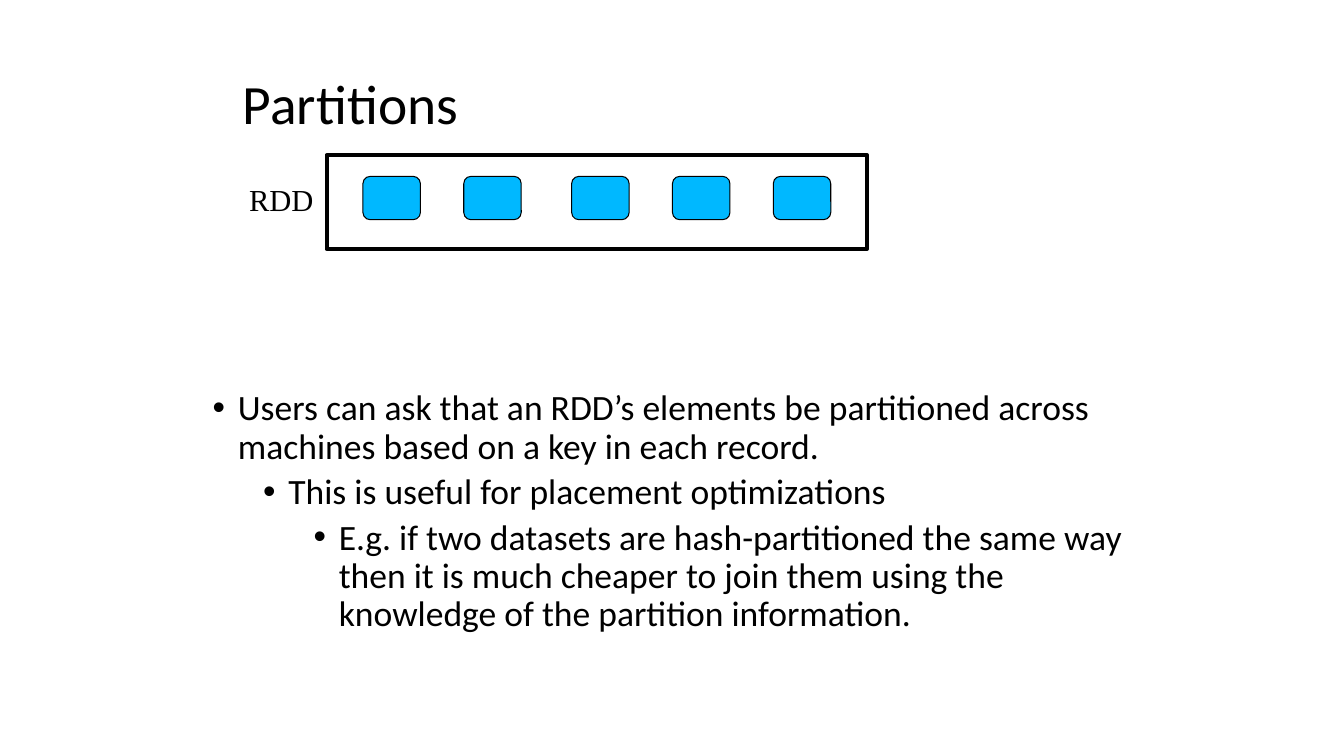
from lxml import etree
from pptx import Presentation
from pptx.dml.color import RGBColor
from pptx.enum.shapes import MSO_SHAPE
from pptx.enum.text import MSO_ANCHOR, MSO_AUTO_SIZE, PP_ALIGN
from pptx.oxml.ns import qn
from pptx.util import Inches, Pt

RECTANGLE = MSO_SHAPE.RECTANGLE
ROUNDED_RECTANGLE = MSO_SHAPE.ROUNDED_RECTANGLE
MIDDLE = MSO_ANCHOR.MIDDLE
TOP = MSO_ANCHOR.TOP
LEFT = PP_ALIGN.LEFT
NO_AUTOFIT = MSO_AUTO_SIZE.NONE

COLORS = {"text": "000000", "line": "000000", "partition": "00B8FF", "background": "FFFFFF"}


def place(shape, left, top, width, height):
    shape.left, shape.top = Inches(left), Inches(top)
    shape.width, shape.height = Inches(width), Inches(height)


def format_runs(paragraph, font_name, size):
    for run in paragraph.runs:
        run.font.name = font_name
        run.font.size = Pt(size)
        run.font.color.rgb = RGBColor.from_string(COLORS["text"])


presentation = Presentation()
presentation.slide_width = Inches(13.33)
presentation.slide_height = Inches(7.5)
slide = presentation.slides.add_slide(presentation.slide_layouts[1])
slide.background.fill.solid()
slide.background.fill.fore_color.rgb = RGBColor.from_string(COLORS["background"])

title = slide.shapes.title
place(title, 2.31, 0.68, 8.9, 0.76)
title.text_frame.text = "Partitions"
title.text_frame.auto_size = NO_AUTOFIT
title.text_frame.vertical_anchor = MIDDLE
title_paragraph = title.text_frame.paragraphs[0]
title_paragraph.alignment = LEFT
title_paragraph.line_spacing = 0.9
format_runs(title_paragraph, "Calibri", 39.6)

body = slide.placeholders[1]
place(body, 2.01, 3.82, 9.45, 3.69)
points = [
    "Users can ask that an RDD’s elements be partitioned across machines based on a key in each record.",
    "This is useful for placement optimizations",
    "E.g. if two datasets are hash-partitioned the same way then it is much cheaper to join them "
    "using the knowledge of the partition information.",
]
body.text_frame.text = "\n".join(points)
body.text_frame.auto_size = NO_AUTOFIT
body.text_frame.vertical_anchor = TOP
for level, paragraph in enumerate(body.text_frame.paragraphs):
    paragraph.level = level
    properties = paragraph._p.get_or_add_pPr()
    properties.set("marL", str(Inches(0.25 + 0.5 * level)))
    properties.set("indent", str(Inches(-0.25)))
    etree.SubElement(properties, qn("a:buFont"), typeface="Arial")
    etree.SubElement(properties, qn("a:buChar"), char="•")
    paragraph.line_spacing = 0.9
    paragraph.space_before = Pt(5 if level else 0)
    format_runs(paragraph, "Calibri", 25.4)

dataset_frame = slide.shapes.add_shape(
    RECTANGLE, Inches(3.24), Inches(1.54), Inches(5.36), Inches(0.93)
)
dataset_frame.shadow.inherit = False
dataset_frame.fill.background()
dataset_frame.line.color.rgb = RGBColor.from_string(COLORS["line"])
dataset_frame.line.width = Pt(3)

for left in (3.6, 4.6, 5.67, 6.67, 7.67):
    partition = slide.shapes.add_shape(
        ROUNDED_RECTANGLE, Inches(left), Inches(1.75), Inches(0.57), Inches(0.43)
    )
    partition.shadow.inherit = False
    partition.fill.solid()
    partition.fill.fore_color.rgb = RGBColor.from_string(COLORS["partition"])
    partition.line.color.rgb = RGBColor.from_string(COLORS["line"])
    partition.line.width = Pt(0.75)

dataset_label = slide.shapes.add_textbox(Inches(2.38), Inches(1.75), Inches(0.83), Inches(0.46))
dataset_label.text_frame.text = "RDD"
dataset_label.text_frame.word_wrap = False
dataset_label.text_frame.auto_size = NO_AUTOFIT
dataset_label.text_frame.margin_left = Inches(0.09)
dataset_label.text_frame.margin_right = 0
dataset_label.text_frame.paragraphs[0].alignment = LEFT
format_runs(dataset_label.text_frame.paragraphs[0], "Times New Roman", 21.8)

presentation.save("out.pptx")
